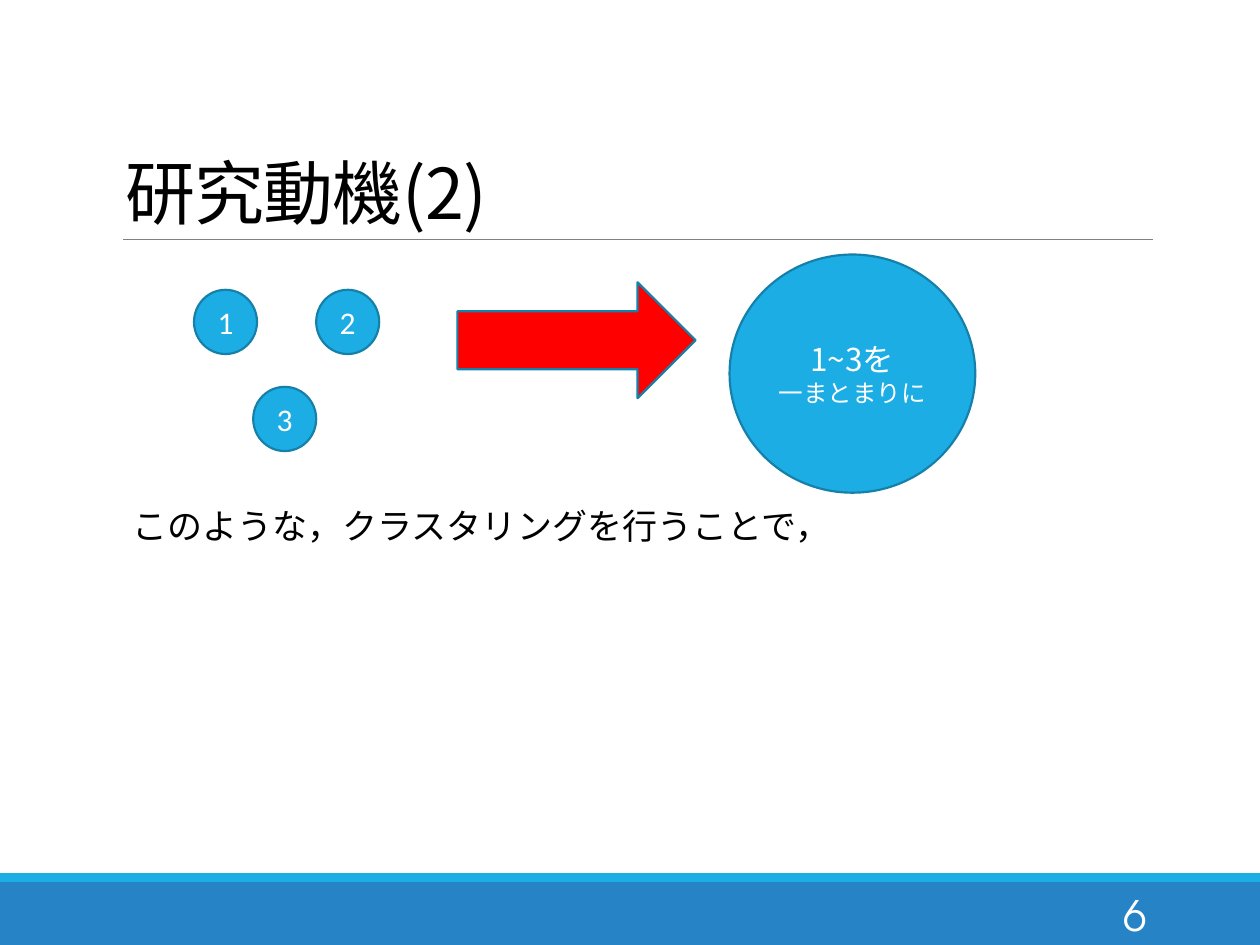
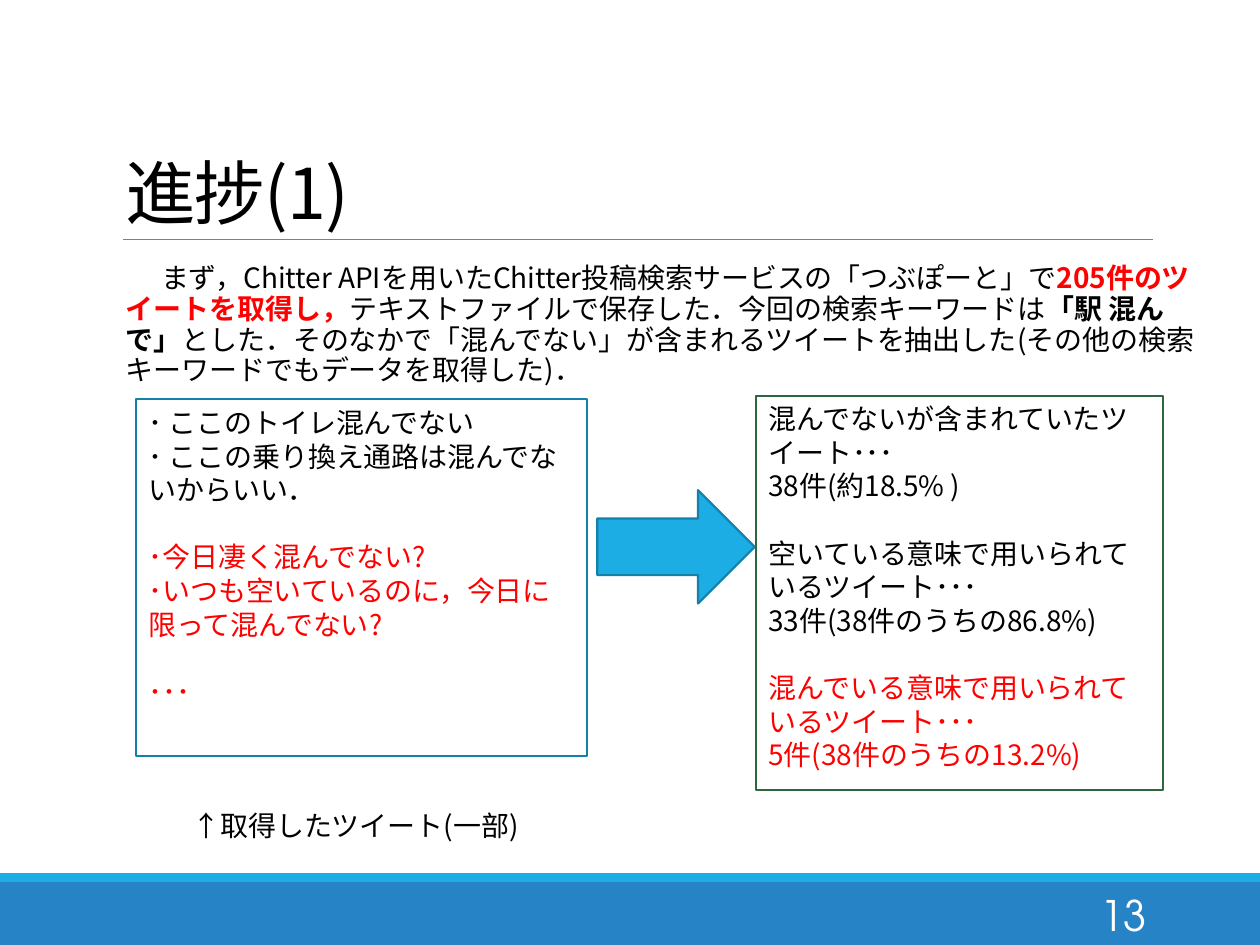
from dataclasses import dataclass
from lxml import etree
from pptx import Presentation
from pptx import util as u
from pptx.dml.color import RGBColor
from pptx.enum import shapes, text
from pptx.oxml.ns import qn


@dataclass(frozen=True)
class Theme:
    japanese: str = "Noto Sans CJK JP"
    digits: str = "Calibri"
    numbering: str = "TeX Gyre Adventor"
    black: str = "000000"
    white: str = "FFFFFF"
    red: str = "FF0000"
    sky: str = "1CADE4"
    blue: str = "2683C6"
    outline: str = "1580A9"
    green: str = "2F663E"
    rule: str = "808080"
    title: int = 40
    number: int = 24
    lead: int = 20
    label: int = 18
    body: int = 16
    small: int = 14


theme = Theme()
MSO = shapes.MSO_SHAPE
LEFT, CENTER, RIGHT = text.PP_ALIGN.LEFT, text.PP_ALIGN.CENTER, text.PP_ALIGN.RIGHT
TOP, MIDDLE, BOTTOM = text.MSO_ANCHOR.TOP, text.MSO_ANCHOR.MIDDLE, text.MSO_ANCHOR.BOTTOM


def add_box(page, place, kind=None, fill=None, line=None):
    place = [u.Inches(length) for length in place]
    if kind is None:
        box = page.shapes.add_textbox(*place)
    else:
        box = page.shapes.add_shape(kind, *place)
        box.shadow.inherit = False
        box.fill.solid()
        box.fill.fore_color.rgb = RGBColor.from_string(fill)
        if line:
            box.line.color.rgb = RGBColor.from_string(line)
            box.line.width = u.Pt(1.25)
        else:
            box.line.fill.background()
    box.text_frame.word_wrap = True
    return box


def write(box, paras, size, color=theme.black, font=theme.japanese,
          align=LEFT, anchor=TOP, leading=1.2):
    frame = box.text_frame
    frame.vertical_anchor = anchor
    for index, spans in enumerate(paras):
        para = frame.paragraphs[0] if index == 0 else frame.add_paragraph()
        para.alignment = align
        para.line_spacing = u.Pt(round(size * leading, 1))
        for wording, tint, bold in spans:
            span = para.add_run()
            span.text = wording
            span.font.size = u.Pt(size)
            span.font.name = font
            span.font.bold = bold
            span.font.color.rgb = RGBColor.from_string(tint or color)
            etree.SubElement(span.font._element, qn("a:ea"), typeface=font)


deck = Presentation()
deck.slide_width, deck.slide_height = u.Inches(10), u.Inches(7.5)
pages = []

for heading, number in (("研究動機(2)", "6"), ("進捗(1)", "13")):
    page = deck.slides.add_slide(deck.slide_layouts[6])
    pages.append(page)
    add_box(page, (0, 7, 10, 0.5), MSO.RECTANGLE, theme.blue)
    add_box(page, (0, 6.93, 10, 0.07), MSO.RECTANGLE, theme.sky)
    rule = page.shapes.add_connector(shapes.MSO_CONNECTOR.STRAIGHT, u.Inches(0.98),
                                     u.Inches(1.9), u.Inches(9.15), u.Inches(1.9))
    rule.line.color.rgb = RGBColor.from_string(theme.rule)
    rule.line.width = u.Pt(0.5)
    etree.SubElement(rule._element.spPr, qn("a:effectLst"))
    title = add_box(page, (0.9, 0.93, 8.25, 0.97))
    write(title, [[(heading, None, False)]], theme.title, anchor=BOTTOM, leading=1.1)
    title.text_frame.paragraphs[0].runs[0].font._element.set("spc", "-50")
    write(add_box(page, (8.12, 7.06, 1.08, 0.4)), [[(number, None, False)]],
          theme.number, theme.white, theme.numbering, RIGHT, MIDDLE)

motive, progress = pages

for digit, left, top in (("1", 1.54, 2.3), ("3", 2.01, 3.07), ("2", 2.51, 2.3)):
    circle = add_box(motive, (left, top, 0.5, 0.51), MSO.OVAL, theme.sky, theme.outline)
    circle.text_frame.word_wrap = False
    write(circle, [[(digit, None, False)]], theme.label, theme.white, theme.digits,
          CENTER, MIDDLE)

add_box(motive, (3.63, 2.24, 1.89, 0.92), MSO.RIGHT_ARROW, theme.red, theme.outline)

cluster = add_box(motive, (5.79, 2.02, 1.95, 1.89), MSO.OVAL, theme.sky, theme.outline)
cluster.text_frame.word_wrap = False
write(cluster, [[("1~3を", None, False)], [("一まとまりに", None, False)]],
      theme.label, theme.white, align=CENTER, anchor=MIDDLE)
second = cluster.text_frame.paragraphs[1]
second.line_spacing = u.Pt(17)
second.runs[0].font.size = u.Pt(theme.small)

write(add_box(motive, (0.95, 3.98, 8.25, 0.5)),
      [[("このような，クラスタリングを行うことで，", None, False)]],
      theme.lead, leading=1.1)

summary = add_box(progress, (0.9, 2.04, 8.6, 1.1))
summary.text_frame.margin_right = 0
write(summary, [[
    ("まず，Chitter APIを用いたChitter投稿検索サービスの「つぶぽーと」で", None, False),
    ("205件のツイートを取得し，", theme.red, True),
    ("テキストファイルで保存した．今回の検索キーワードは", None, False),
    ("「駅 混んで」", None, True),
    ("とした．そのなかで「混んでない」が含まれるツイートを抽出した"
     "(その他の検索キーワードでもデータを取得した)．", None, False),
]], theme.body, leading=1.1)
summary.text_frame.paragraphs[0]._p.get_or_add_pPr().set("indent", str(u.Inches(0.28)))

panels = (
    ((1.08, 3.17, 3.58, 2.83), theme.outline, (2, 4), (
        ("･ ここのトイレ混んでない", None),
        ("･ ここの乗り換え通路は混んでないからいい．", None),
        ("･今日凄く混んでない?", theme.red),
        ("･いつも空いているのに，今日に 限って混んでない?", theme.red),
        ("･･･", theme.red),
    )),
    ((6, 3.14, 3.23, 3.13), theme.green, (2, 4), (
        ("混んでないが含まれていたツイート･･･", None),
        ("38件(約18.5% )", None),
        ("空いている意味で用いられているツイート･･･", None),
        ("33件(38件のうちの86.8%)", None),
        ("混んでいる意味で用いられているツイート･･･", theme.red),
        ("5件(38件のうちの13.2%)", theme.red),
    )),
)
for place, border, group_starts, lines in panels:
    panel = add_box(progress, place, MSO.RECTANGLE, theme.white, border)
    write(panel, [[(wording, tint, False)] for wording, tint in lines], theme.body)
    for start in group_starts:
        panel.text_frame.paragraphs[start].space_before = u.Pt(theme.body * 1.2)

add_box(progress, (4.74, 3.89, 1.25, 0.9), MSO.RIGHT_ARROW, theme.sky, theme.outline)
write(add_box(progress, (1.43, 6.37, 3.2, 0.4)),
      [[("↑取得したツイート(一部)", None, False)]], theme.body)

deck.save("out.pptx")
